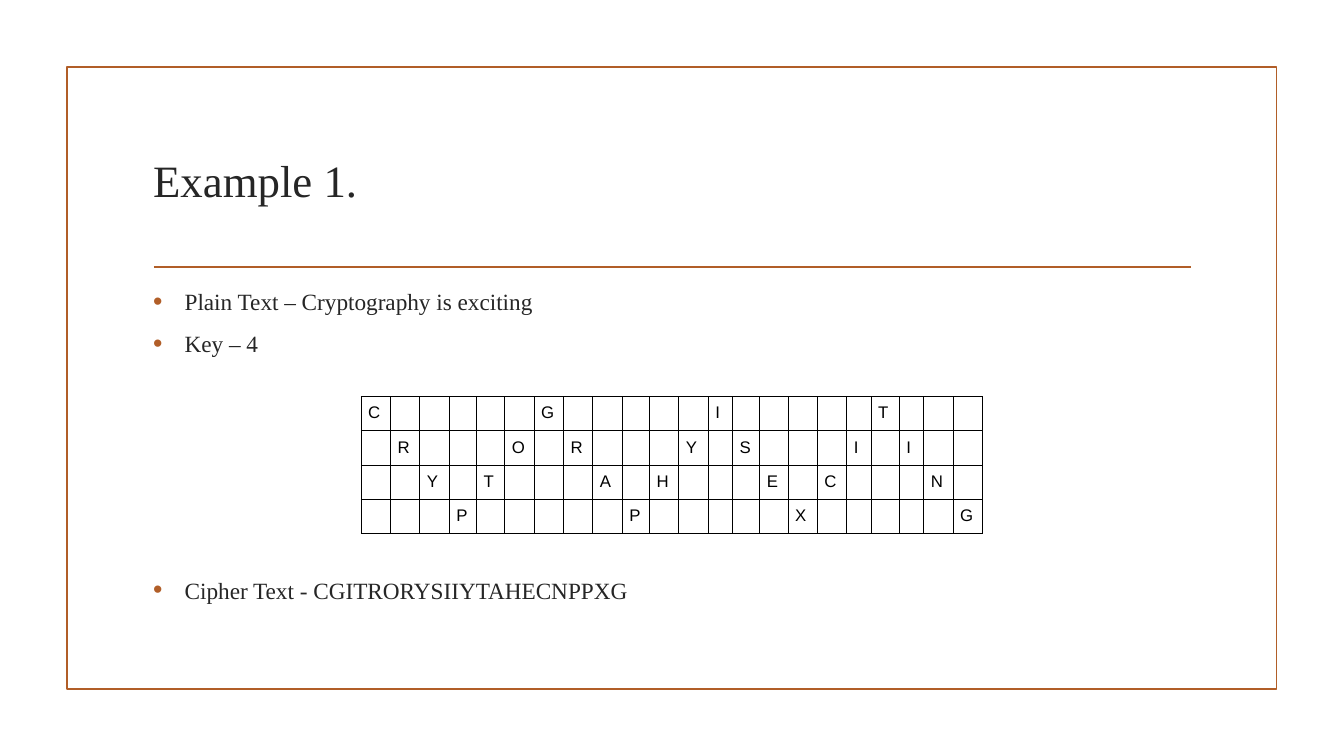
from lxml.etree import SubElement
from pptx import Presentation
from pptx.dml.color import RGBColor
from pptx.enum.shapes import MSO_CONNECTOR, MSO_SHAPE
from pptx.enum.text import MSO_ANCHOR, MSO_AUTO_SIZE, PP_ALIGN
from pptx.oxml import parse_xml
from pptx.oxml.ns import nsdecls, qn
from pptx.util import Pt

# Content
TITLE = "Example 1."
BULLETS = [  # text, space before
    ("Plain Text – Cryptography is exciting", 4.2),
    ("Key – 4", 4.2),
    ("Cipher Text - CGITRORYSIIYTAHECNPPXG", 150),
]
LETTERS = "CRYPTOGRAPHYISEXCITING"
KEY = 4
ROW_HEIGHT = 24.48
WIDE = 21
NARROWER = {"P": 19.5, "S": 19.5, "T": 20.2, "E": 20.2, "I": 17.4}
ACCENT, INK, BLACK = "B15E28", "262626", "000000"
SERIF, SANS = "Times New Roman", "Arial"


def color(value):
    return RGBColor.from_string(value)


def style(p, size, font, value):
    for r in p.runs:
        r.font.size, r.font.name = Pt(size), font
        r.font.color.rgb = color(value)


def place(shape, left, top, width, height):
    shape.left, shape.top = Pt(left), Pt(top)
    shape.width, shape.height = Pt(width), Pt(height)


def add_bullet(p):
    pPr = p._p.get_or_add_pPr()
    pPr.set("marL", str(Pt(22.5)))
    pPr.set("indent", str(-Pt(22.5)))
    SubElement(SubElement(pPr, qn("a:buClr")), qn("a:srgbClr"), val=ACCENT)
    SubElement(pPr, qn("a:buSzPct"), val="115000")
    SubElement(pPr, qn("a:buFont"), typeface=SANS)
    SubElement(pPr, qn("a:buChar"), char="•")


def add_borders(cell):
    tcPr = cell._tc.get_or_add_tcPr()
    for i, side in enumerate(("lnL", "lnR", "lnT", "lnB")):
        tcPr.insert(i, parse_xml(
            f'<a:{side} {nsdecls("a")} w="{Pt(0.75)}"><a:solidFill>'
            f'<a:srgbClr val="{BLACK}"/></a:solidFill></a:{side}>'))


prs = Presentation()
prs.slide_width, prs.slide_height = Pt(960), Pt(540)
s = prs.slides.add_slide(prs.slide_layouts[1])

# Frame and rule
frame = s.shapes.add_shape(MSO_SHAPE.RECTANGLE, Pt(47.8), Pt(48), Pt(864), Pt(444))
frame.shadow.inherit = False
frame.fill.background()
rule = s.shapes.add_connector(MSO_CONNECTOR.STRAIGHT, Pt(110), Pt(190.8), Pt(850.5), Pt(190.8))
SubElement(rule._element.spPr, qn("a:effectLst"))
for sp in (frame, rule):
    sp.line.color.rgb = color(ACCENT)
    sp.line.width = Pt(1.25)

# Title
title = s.shapes.title
place(title, 102.2, 77, 756, 103)
tf = title.text_frame
tf.text = TITLE
tf.auto_size = MSO_AUTO_SIZE.NONE
tf.vertical_anchor = MSO_ANCHOR.MIDDLE
tf.paragraphs[0].alignment = PP_ALIGN.LEFT
style(tf.paragraphs[0], 32, SERIF, INK)

# Bullets, with room for the grid before the last one
body = s.placeholders[1]
place(body, 102.2, 201.6, 756, 281)
tf = body.text_frame
tf.text = "\n".join(text for text, _ in BULLETS)
tf.auto_size = MSO_AUTO_SIZE.NONE
tf.vertical_anchor = MSO_ANCHOR.TOP
for p, (_, before) in zip(tf.paragraphs, BULLETS):
    p.space_before, p.space_after = Pt(before), Pt(6)
    add_bullet(p)
    style(p, 16.6, SERIF, INK)

# Rail fence grid: one letter per column, zigzagging over KEY rows
widths = [NARROWER.get(letter, WIDE) for letter in LETTERS]
grid = s.shapes.add_table(KEY, len(LETTERS), Pt(258), Pt(283.2),
                          Pt(sum(widths)), Pt(KEY * ROW_HEIGHT)).table
grid.first_row = grid.horz_banding = False
for row in grid.rows:
    row.height = Pt(ROW_HEIGHT)
period = 2 * (KEY - 1)
for col, (letter, width) in enumerate(zip(LETTERS, widths)):
    grid.columns[col].width = Pt(width)
    step = col % period
    rail = min(step, period - step)
    for row in range(KEY):
        cell = grid.cell(row, col)
        cell.margin_left = cell.margin_right = Pt(5)
        cell.margin_top, cell.margin_bottom = Pt(0), Pt(1)
        cell.vertical_anchor = MSO_ANCHOR.MIDDLE
        cell.fill.background()
        add_borders(cell)
        if row == rail:
            cell.text_frame.text = letter
            style(cell.text_frame.paragraphs[0], 12, SANS, BLACK)

prs.save("out.pptx")
